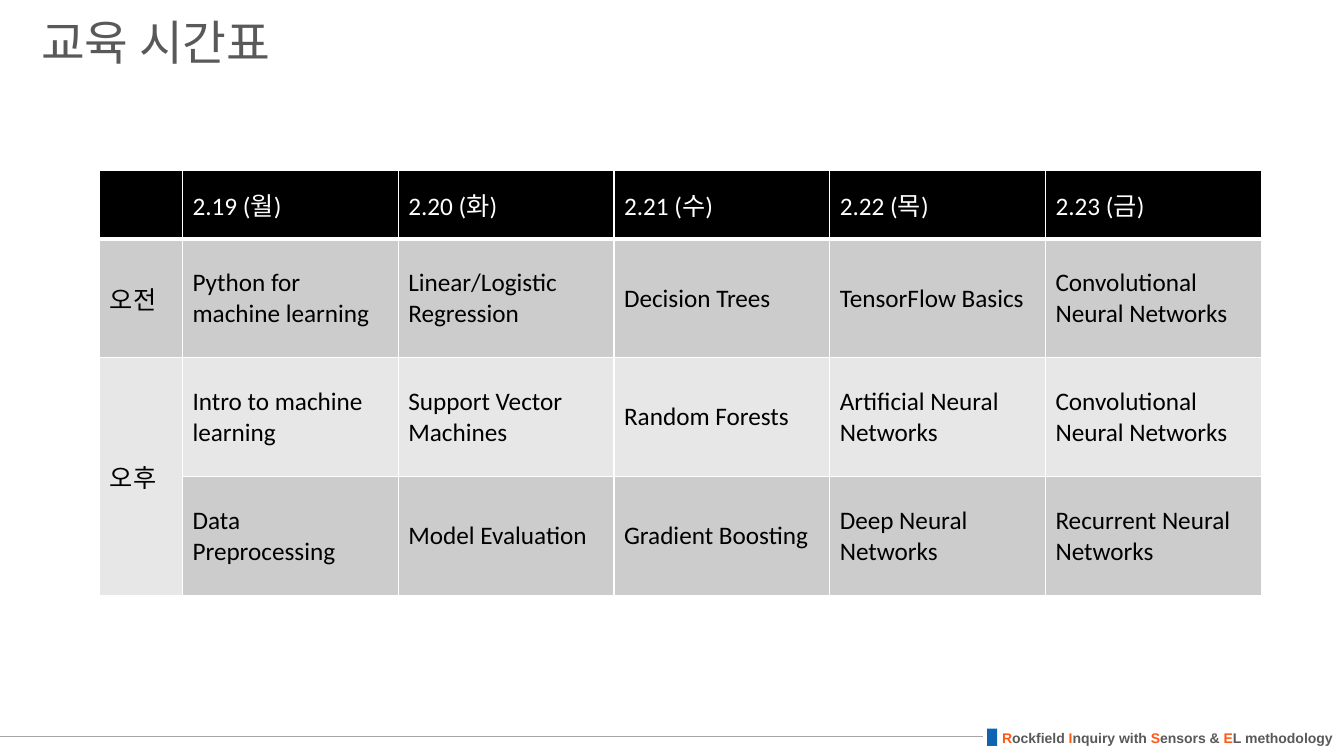
from lxml import etree
from pptx import Presentation, util as u
from pptx.dml.color import RGBColor
from pptx.enum import shapes, text
from pptx.oxml.ns import qn

WHITE = RGBColor(0xFF, 0xFF, 0xFF)
BLACK = RGBColor(0x00, 0x00, 0x00)
DARK_BAND = RGBColor(0xCC, 0xCC, 0xCC)
LIGHT_BAND = RGBColor(0xE7, 0xE7, 0xE7)
GRAY = RGBColor(0x59, 0x59, 0x59)
RULE_GRAY = RGBColor(0xA6, 0xA6, 0xA6)
ORANGE = RGBColor(0xFF, 0x58, 0x15)
BLUE = RGBColor(0x0E, 0x64, 0xB2)


def add_run(paragraph, words, font, size, color, bold=False):
    run = paragraph.add_run()
    run.text = words
    run.font.name, run.font.size, run.font.bold = font, u.Pt(size), bold
    run.font.color.rgb = color


def add_borders(cell, bottom_width):
    properties = cell._tc.get_or_add_tcPr()
    widths = {"a:lnL": 1, "a:lnR": 1, "a:lnT": 1, "a:lnB": bottom_width}
    for position, (tag, width) in enumerate(widths.items()):
        border = etree.Element(qn(tag), w=str(u.Pt(width)))
        fill = etree.SubElement(border, qn("a:solidFill"))
        etree.SubElement(fill, qn("a:srgbClr"), val=str(WHITE))
        properties.insert(position, border)


presentation = Presentation()
presentation.slide_width = u.Inches(13.33)
presentation.slide_height = u.Inches(7.5)
slide = presentation.slides.add_slide(presentation.slide_layouts[6])

# Footer: tagline, rule and marker
tagline = slide.shapes.add_textbox(u.Inches(9.84), u.Inches(7.19), u.Inches(3.48), u.Inches(0.27))
tagline.text_frame.word_wrap = False
tagline.text_frame.auto_size = text.MSO_AUTO_SIZE.SHAPE_TO_FIT_TEXT
for initial, rest in [("R", "ockfield "), ("I", "nquiry with "), ("S", "ensors & "), ("E", "L methodology")]:
    for words, color in [(initial, ORANGE), (rest, GRAY)]:
        add_run(tagline.text_frame.paragraphs[0], words, "Arial", 10, color, True)

rule = slide.shapes.add_connector(shapes.MSO_CONNECTOR.STRAIGHT, u.Inches(9.75), u.Inches(7.31), 0, u.Inches(7.31))
rule.line.color.rgb = RULE_GRAY
rule.line.width = u.Pt(0.5)
etree.SubElement(rule._element.spPr, qn("a:effectLst"))

marker = slide.shapes.add_shape(shapes.MSO_SHAPE.RECTANGLE, u.Inches(9.79), u.Inches(7.23), u.Inches(0.1), u.Inches(0.17))
marker.shadow.inherit = False
marker.fill.solid()
marker.fill.fore_color.rgb = BLUE
marker.line.fill.background()

# Title
title = slide.shapes.add_textbox(u.Inches(0.31), 0, u.Inches(11.5), u.Inches(0.89))
title.text_frame.word_wrap = True
title.text_frame.vertical_anchor = text.MSO_ANCHOR.MIDDLE
title.text_frame.paragraphs[0].line_spacing = 0.9
add_run(title.text_frame.paragraphs[0], "교육 시간표", "Arial", 34, GRAY)

# Timetable
timetable = [
    ["", "2.19 (월)", "2.20 (화)", "2.21 (수)", "2.22 (목)", "2.23 (금)"],
    ["오전", "Python for machine learning", "Linear/Logistic Regression",
     "Decision Trees", "TensorFlow Basics", "Convolutional Neural Networks"],
    ["오후", "Intro to machine learning", "Support Vector Machines",
     "Random Forests", "Artificial Neural Networks", "Convolutional Neural Networks"],
    ["", "Data Preprocessing", "Model Evaluation",
     "Gradient Boosting", "Deep Neural Networks", "Recurrent Neural Networks"],
]
column_widths = [0.82] + [2.14] * 5
row_heights = [0.68] + [1.18] * 3
row_fills = [BLACK, DARK_BAND, LIGHT_BAND, DARK_BAND]

table = slide.shapes.add_table(
    len(row_heights), len(column_widths), u.Inches(0.99), u.Inches(1.69),
    u.Inches(sum(column_widths)), u.Inches(sum(row_heights))).table
table.first_row = table.horz_banding = False
for column, width in zip(table.columns, column_widths):
    column.width = u.Inches(width)
for row, height in zip(table.rows, row_heights):
    row.height = u.Inches(height)
table.cell(2, 0).merge(table.cell(3, 0))

for row_index, entries in enumerate(timetable):
    is_header = row_index == 0
    for column_index, entry in enumerate(entries):
        cell = table.cell(row_index, column_index)
        cell.vertical_anchor = text.MSO_ANCHOR.MIDDLE
        cell.fill.solid()
        cell.fill.fore_color.rgb = row_fills[row_index]
        add_borders(cell, 3 if is_header else 1)
        if entry:
            add_run(cell.text_frame.paragraphs[0], entry, "Calibri", 18, WHITE if is_header else BLACK)

presentation.save("out.pptx")
